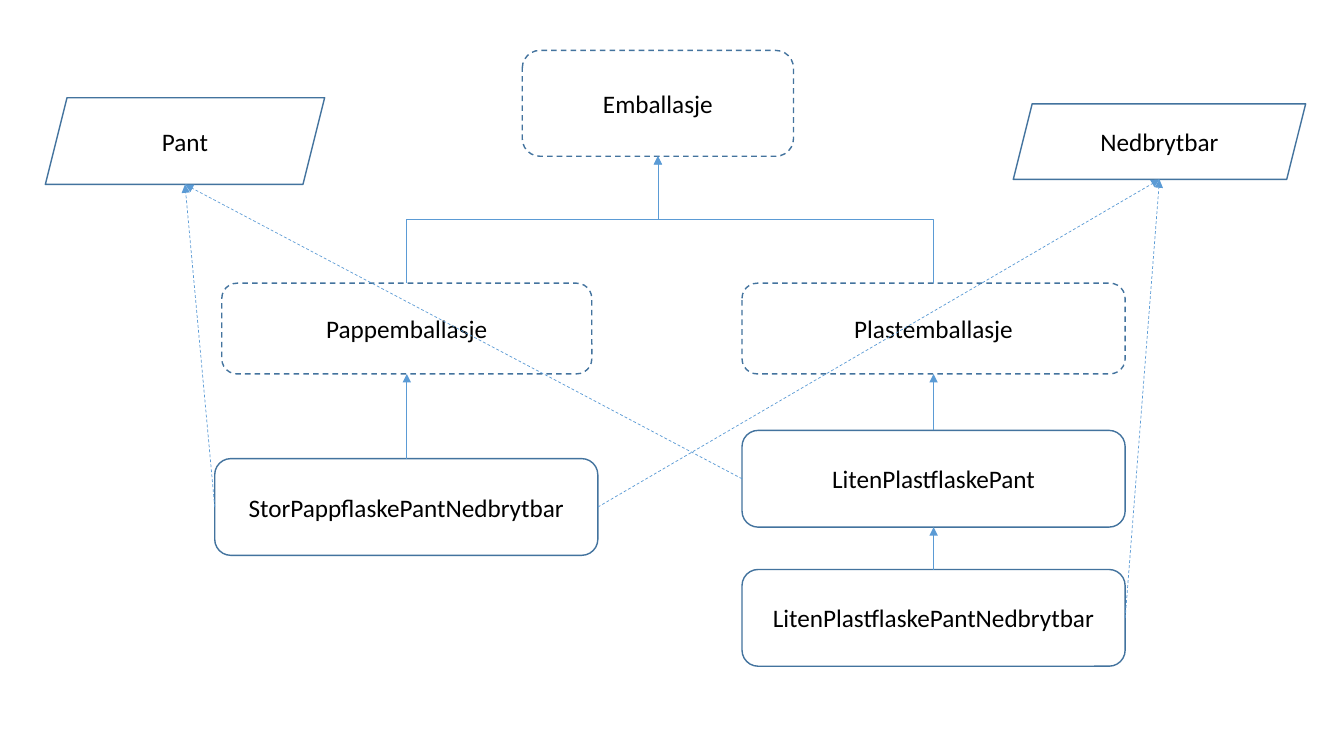
from lxml import etree
from pptx import Presentation
from pptx.dml.color import RGBColor
from pptx.enum import dml, shapes, text
from pptx.oxml.ns import qn
from pptx.util import Inches, Pt

COLORS = {"outline": "43739E", "arrow": "5B9BD5", "text": "000000"}
CLASS = shapes.MSO_SHAPE.ROUNDED_RECTANGLE
INTERFACE = shapes.MSO_SHAPE.PARALLELOGRAM

# name: (preset, left, top, width, height, dashed)
TYPES = {
    "Emballasje": (CLASS, 5.18, 0.5, 2.69, 1.05, True),
    "Pant": (INTERFACE, 0.45, 0.97, 2.77, 0.86, False),
    "Nedbrytbar": (INTERFACE, 10.05, 1.03, 2.9, 0.75, False),
    "Pappemballasje": (CLASS, 2.2, 2.81, 3.67, 0.9, True),
    "Plastemballasje": (CLASS, 7.36, 2.81, 3.8, 0.9, True),
    "LitenPlastflaskePant": (CLASS, 7.36, 4.27, 3.8, 0.96, False),
    "LitenPlastflaskePantNedbrytbar": (CLASS, 7.36, 5.65, 3.8, 0.96, False),
    "StorPappflaskePantNedbrytbar": (CLASS, 2.13, 4.55, 3.8, 0.96, False),
}

# (subclass, superclass)
EXTENDS = [
    ("Pappemballasje", "Emballasje"),
    ("Plastemballasje", "Emballasje"),
    ("LitenPlastflaskePant", "Plastemballasje"),
    ("StorPappflaskePantNedbrytbar", "Pappemballasje"),
    ("LitenPlastflaskePantNedbrytbar", "LitenPlastflaskePant"),
]

# (class, side the arrow leaves from, interface)
IMPLEMENTS = [
    ("LitenPlastflaskePantNedbrytbar", "right", "Nedbrytbar"),
    ("LitenPlastflaskePant", "left", "Pant"),
    ("StorPappflaskePantNedbrytbar", "left", "Pant"),
    ("StorPappflaskePantNedbrytbar", "right", "Nedbrytbar"),
]


def side_point(name, side):
    """Midpoint of one side of a type's box, in inches."""
    _, left, top, width, height, _ = TYPES[name]
    x_share, y_share = {"top": (0.5, 0), "bottom": (0.5, 1),
                        "left": (0, 0.5), "right": (1, 0.5)}[side]
    return left + width * x_share, top + height * y_share


def style_line(line, color, width, dashed):
    line.color.rgb = RGBColor.from_string(COLORS[color])
    line.width = Pt(width)
    if dashed:
        line.dash_style = dml.MSO_LINE.DASH


def add_type(slide, name):
    preset, *box, dashed = TYPES[name]
    node = slide.shapes.add_shape(preset, *map(Inches, box))
    node.shadow.inherit = False
    node.fill.background()
    style_line(node.line, "outline", 1, dashed)
    frame = node.text_frame
    frame.word_wrap = True
    frame.vertical_anchor = text.MSO_ANCHOR.MIDDLE
    label = frame.paragraphs[0]
    label.text = name
    label.alignment = text.PP_ALIGN.CENTER
    for attribute, value in {"name": "Calibri", "size": Pt(18)}.items():
        setattr(label.font, attribute, value)
    label.font.color.rgb = RGBColor.from_string(COLORS["text"])


def add_arrow(slide, kind, start, end, dashed=False):
    arrow = slide.shapes.add_connector(kind, *map(Inches, (*start, *end)))
    style_line(arrow.line, "arrow", 0.5, dashed)
    properties = arrow.element.spPr
    etree.SubElement(properties.find(qn("a:ln")), qn("a:tailEnd"), type="triangle")
    etree.SubElement(properties, qn("a:effectLst"))
    return arrow


def add_extends(slide, subclass, superclass):
    x1, y1 = side_point(subclass, "top")
    x2, y2 = side_point(superclass, "bottom")
    mid_x, mid_y = (x1 + x2) / 2, (y1 + y2) / 2
    # Lay the elbow on its side, then turn it 270 degrees so it leaves upwards
    half_rise, half_run = (y1 - y2) / 2, (x2 - x1) / 2
    arrow = add_arrow(slide, shapes.MSO_CONNECTOR.ELBOW,
                      (mid_x - half_rise, mid_y - half_run),
                      (mid_x + half_rise, mid_y + half_run))
    arrow.element.spPr.find(qn("a:xfrm")).set("rot", str(270 * 60000))


def main():
    deck = Presentation()
    deck.slide_width, deck.slide_height = Inches(13.33), Inches(7.5)
    slide = deck.slides.add_slide(deck.slide_layouts[6])

    # Classes and interfaces
    for name in TYPES:
        add_type(slide, name)

    # Inheritance
    for subclass, superclass in EXTENDS:
        add_extends(slide, subclass, superclass)

    # Implemented interfaces
    for name, side, interface in IMPLEMENTS:
        add_arrow(slide, shapes.MSO_CONNECTOR.STRAIGHT, side_point(name, side),
                  side_point(interface, "bottom"), dashed=True)

    deck.save("out.pptx")


main()
